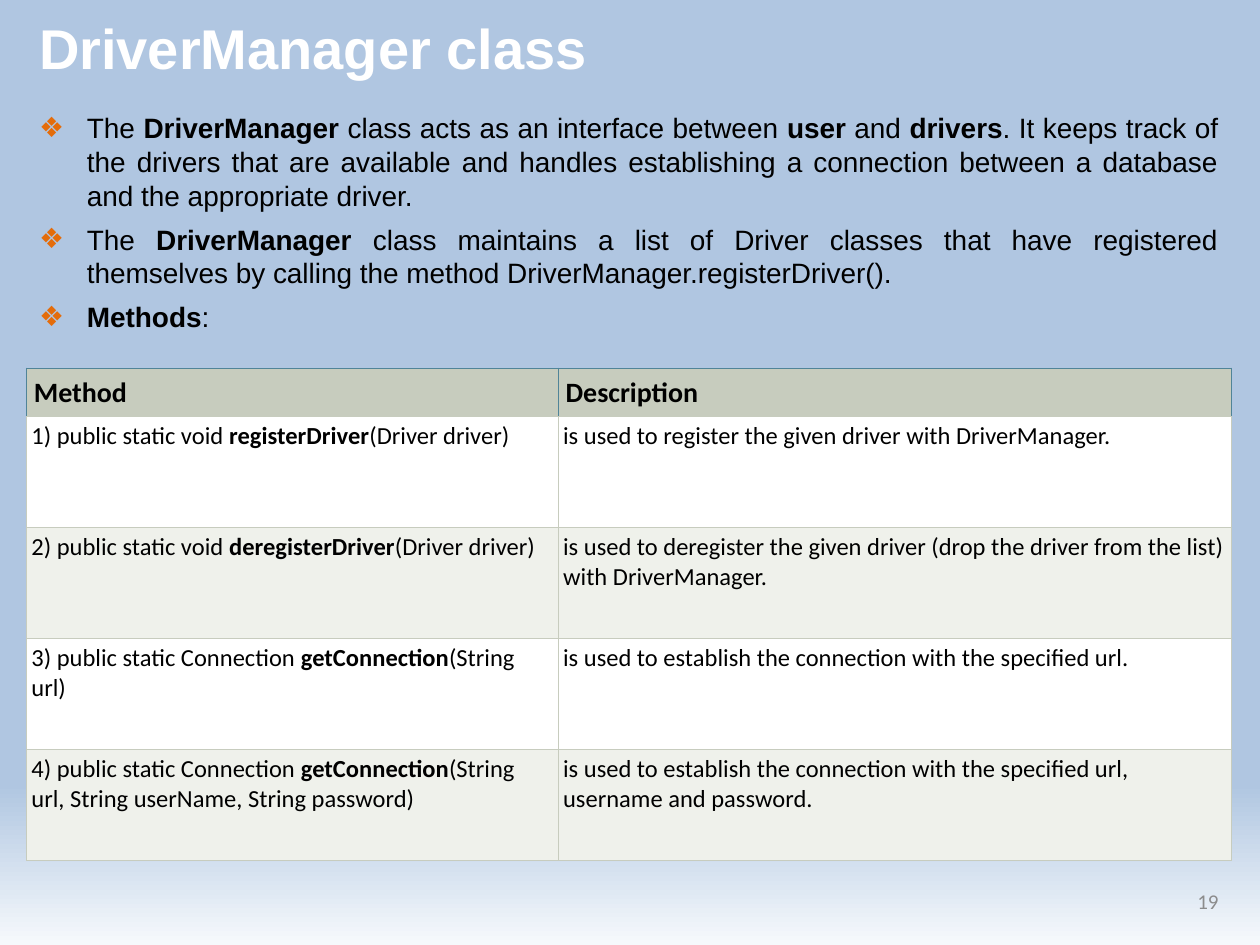
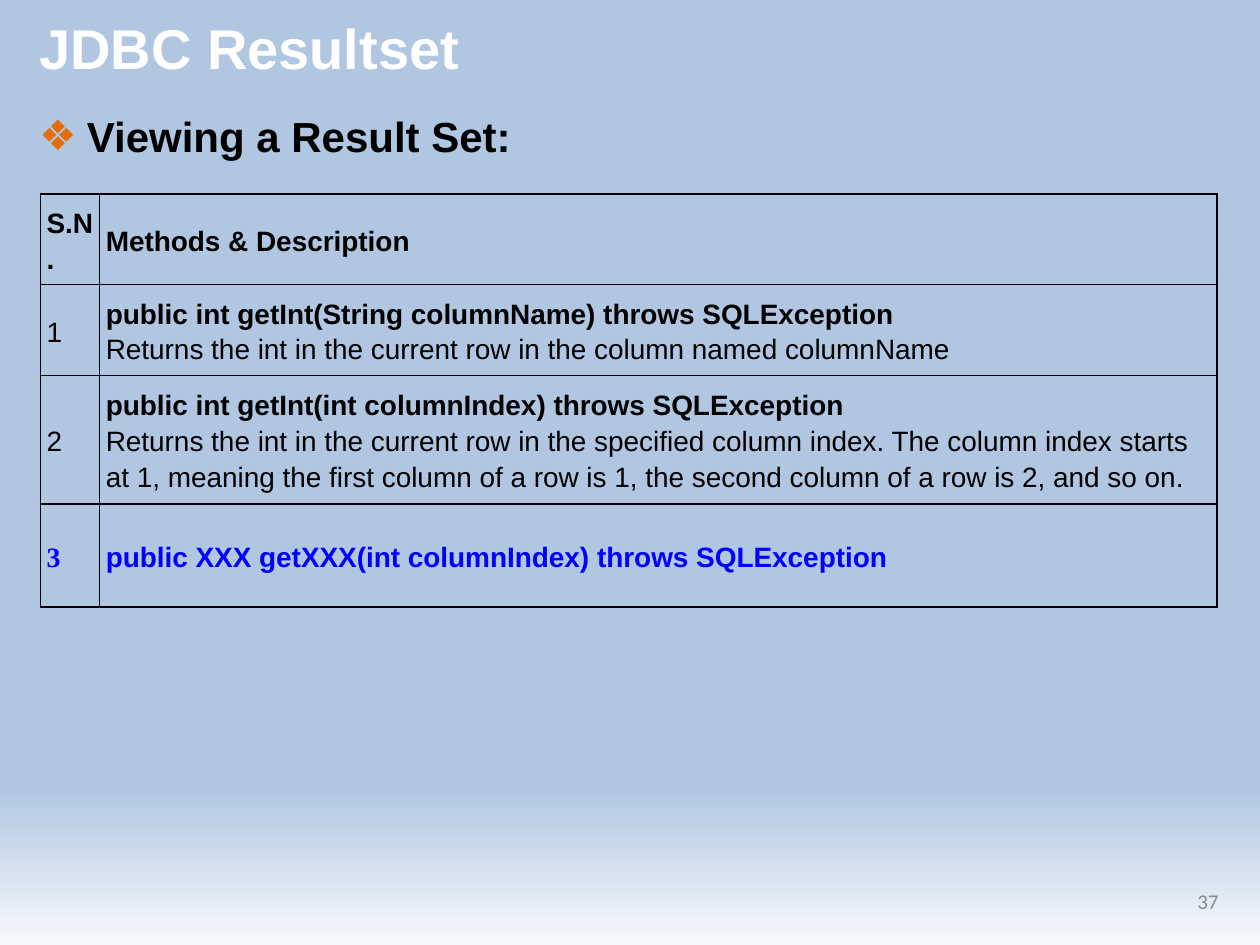
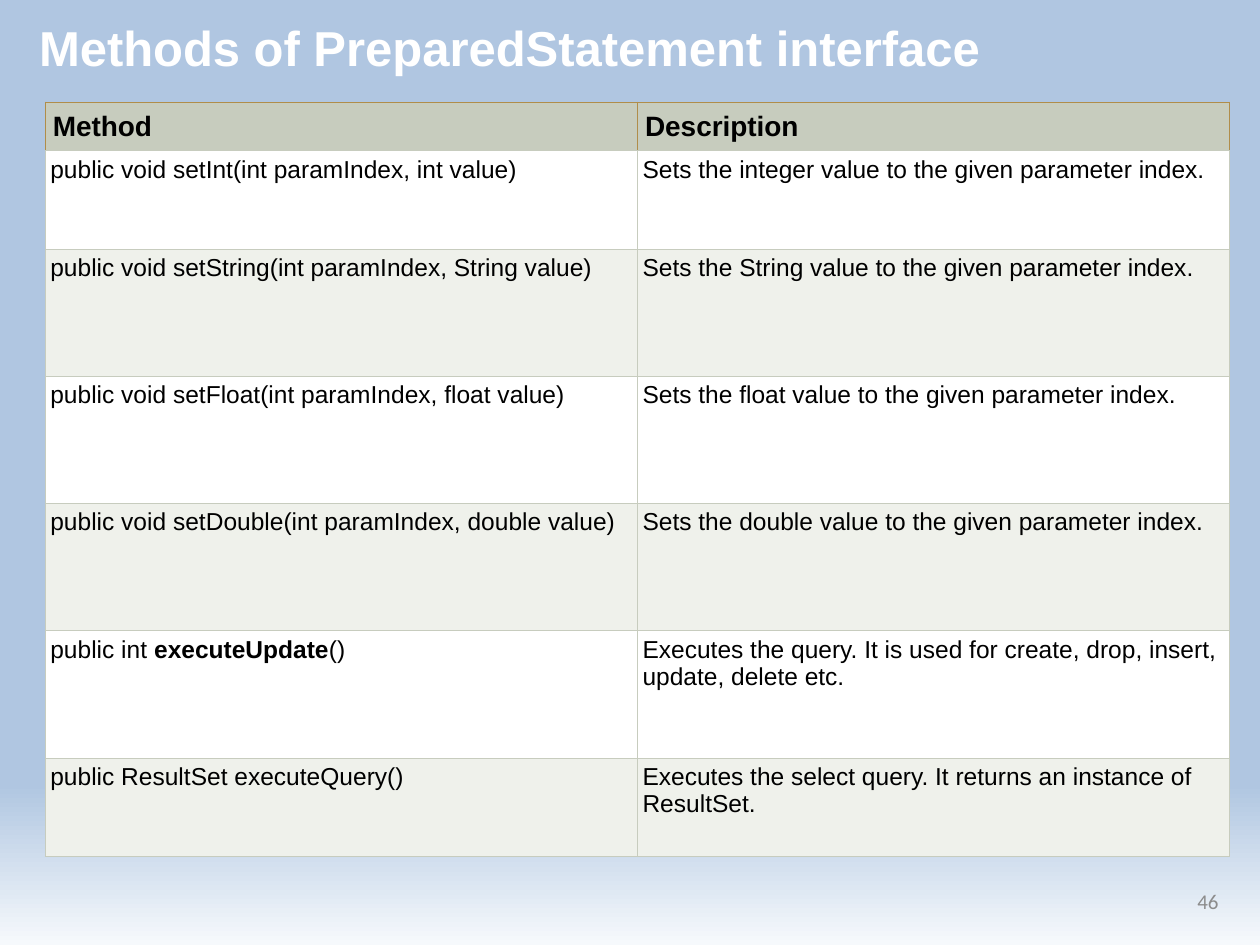
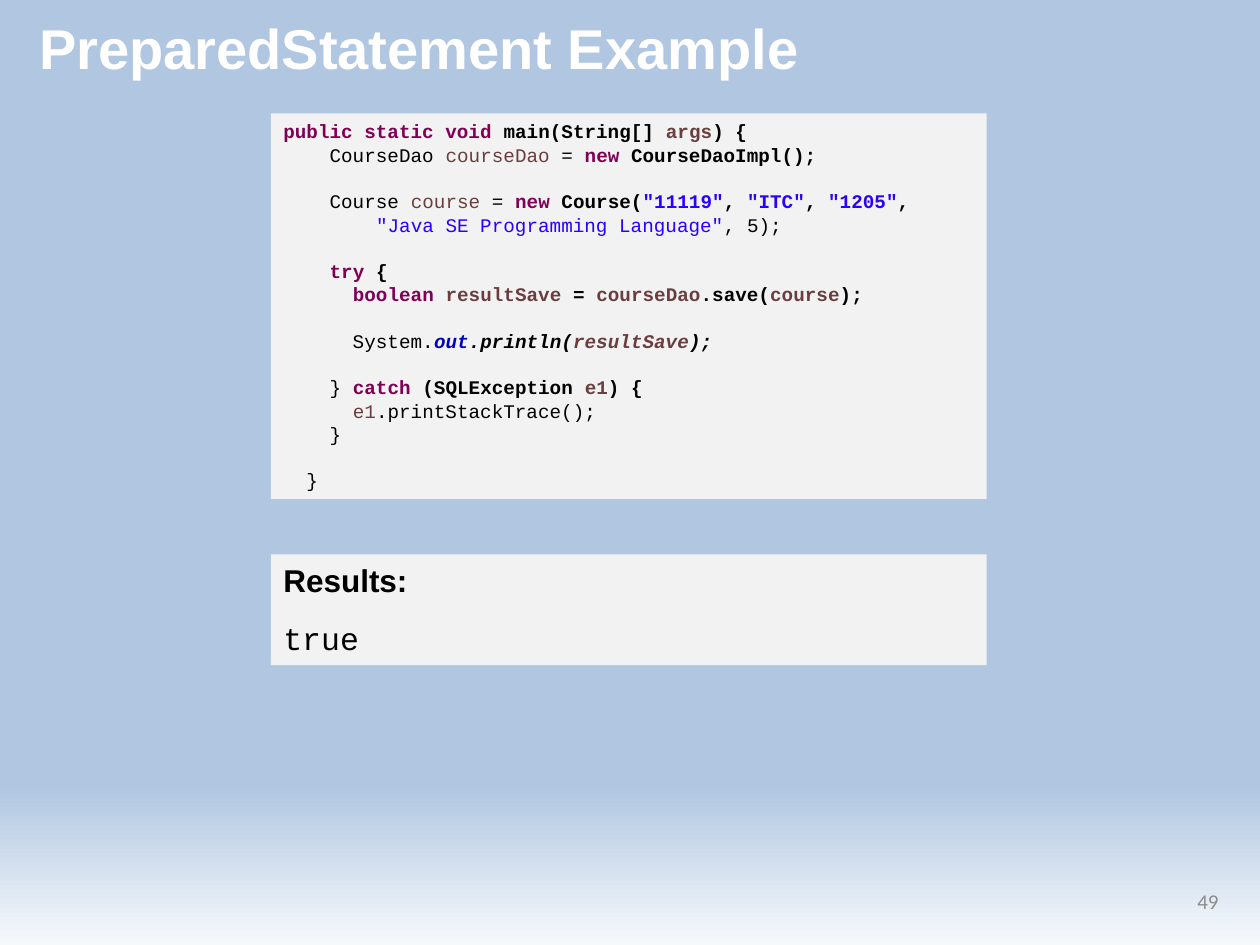
from copy import deepcopy

from lxml import etree
from pptx import Presentation
from pptx.dml.color import RGBColor
from pptx.enum.shapes import MSO_SHAPE
from pptx.enum.text import MSO_ANCHOR, MSO_AUTO_SIZE, PP_ALIGN
from pptx.oxml.ns import qn
from pptx.util import Inches, Pt

RECT = MSO_SHAPE.RECTANGLE
TOP, MIDDLE = MSO_ANCHOR.TOP, MSO_ANCHOR.MIDDLE
NO_FIT = MSO_AUTO_SIZE.NONE
LEFT, RIGHT, JUSTIFY = PP_ALIGN.LEFT, PP_ALIGN.RIGHT, PP_ALIGN.JUSTIFY

BLACK, WHITE, BLUE = "000000", "FFFFFF", "0000FF"
ORANGE, GREY, PANEL = "E46C0A", "8C8C8C", "F2F2F2"
SAGE, PALE_SAGE = "C7CCBE", "EFF1EB"
BACKGROUND = [(74, "B0C6E1"), (83, "B0C6E1"), (100, "F6F9FC"), (100, "CAD9EB")]
CODE_COLORS = {"plain": BLACK, "key": "7F0055", "var": "6A3E3E",
               "str": "2A00FF", "field": "0000C0"}
TITLE_AND_BODY, TITLE_ONLY = 1, 5

DRIVER_POINTS = [
    "The **DriverManager** class acts as an interface between **user** and "
    "**drivers**. It keeps track of the drivers that are available and handles "
    "establishing a connection between a database and the appropriate driver.",
    "The **DriverManager **class maintains a list of Driver classes that have "
    "registered themselves by calling the method DriverManager.registerDriver().",
    "**Methods**:",
]
DRIVER_METHODS = [
    ("**Method**", "**Description**"),
    ("1) public static void **registerDriver**(Driver driver)",
     "is used to register the given driver with DriverManager."),
    ("2) public static void **deregisterDriver**(Driver driver)",
     "is used to deregister the given driver (drop the driver from the list) "
     "with DriverManager."),
    ("3) public static Connection **getConnection**(String url)",
     "is used to establish the connection with the specified url."),
    ("4) public static Connection **getConnection**(String url, String userName, "
     "String password)",
     "is used to establish the connection with the specified url, username and "
     "password."),
]
RESULT_METHODS = [
    ("**S.N.**", "**Methods & Description**"),
    ("1", "**public int getInt(String columnName) throws SQLException**\n"
          "Returns the int in the current row in the column named columnName"),
    ("2", "**public int getInt(int columnIndex) throws SQLException**\n"
          "Returns the int in the current row in the specified column index. The "
          "column index starts at 1, meaning the first column of a row is 1, the "
          "second column of a row is 2, and so on."),
    ("**3**", "**public XXX getXXX(int columnIndex) throws SQLException**"),
]
STATEMENT_METHODS = [
    ("**Method**", "**Description**"),
    ("public void setInt(int paramIndex, int value)",
     "Sets the integer value to the given parameter index."),
    ("public void setString(int paramIndex, String value)",
     "Sets the String value to the given parameter index."),
    ("public void setFloat(int paramIndex, float value)",
     "Sets the float value to the given parameter index."),
    ("public void setDouble(int paramIndex, double value)",
     "Sets the double value to the given parameter index."),
    ("public int **executeUpdate**()",
     "Executes the query. It is used for create, drop, insert, update, delete etc."),
    ("public ResultSet executeQuery()",
     "Executes the select query. It returns an instance of ResultSet."),
]
CODE = [
    [("key", "public static void"), ("plain", " main(String[] "), ("var", "args"),
     ("plain", ") {")],
    [("plain", "    CourseDao "), ("var", "courseDao"), ("plain", " = "),
     ("key", "new"), ("plain", " CourseDaoImpl();")],
    [],
    [("plain", "    Course "), ("var", "course"), ("plain", " = "), ("key", "new"),
     ("plain", " Course("), ("str", '"11119"'), ("plain", ", "), ("str", '"ITC"'),
     ("plain", ", "), ("str", '"1205"'), ("plain", ",")],
    [("plain", "        "), ("str", '"Java SE Programming Language"'),
     ("plain", ", 5);")],
    [],
    [("plain", "    "), ("key", "try"), ("plain", " {")],
    [("plain", "      "), ("key", "boolean "), ("var", "resultSave"),
     ("plain", " = "), ("var", "courseDao"), ("plain", ".save("),
     ("var", "course"), ("plain", ");")],
    [],
    [("plain", "      System."), ("field", "out"), ("plain", ".println("),
     ("var", "resultSave"), ("plain", ");")],
    [],
    [("plain", "    } "), ("key", "catch"), ("plain", " (SQLException "),
     ("var", "e1"), ("plain", ") {")],
    [("plain", "      "), ("var", "e1"), ("plain", ".printStackTrace();")],
    [("plain", "    }")],
    [],
    [("plain", "  }")],
]


def rgb(value):
    return RGBColor.from_string(value)


def place(sp, left, top, width, height):
    sp.left, sp.top = Inches(left), Inches(top)
    sp.width, sp.height = Inches(width), Inches(height)


def add_run(p, text, size, font="Arial", color=BLACK, bold=False, italic=False):
    r = p.add_run()
    r.text = text
    r.font.size, r.font.name = Pt(size), font
    r.font.bold, r.font.italic = bold, italic
    r.font.color.rgb = rgb(color)
    return r


def add_rich_text(p, text, size, font="Arial", color=BLACK):
    for i, part in enumerate(text.split("**")):
        for j, line in enumerate(part.split("\n")):
            if j:
                p.add_line_break()
                p._p[-1].append(deepcopy(r._r.rPr))
            if line:
                r = add_run(p, line, size, font, color, bold=i % 2 == 1)


def next_paragraph(tf, index):
    return tf.paragraphs[0] if index == 0 else tf.add_paragraph()


def set_background(prs):
    fill = prs.slide_master.background.fill
    fill.gradient()
    fill.gradient_angle = 270
    stops = next(prs.slide_master.element.cSld.iter(qn("a:gsLst")))
    for stop in list(stops):
        stops.remove(stop)
    for pos, color in BACKGROUND:
        stop = etree.SubElement(stops, qn("a:gs"), pos=str(pos * 1000))
        etree.SubElement(stop, qn("a:srgbClr"), val=color)


def add_slide(prs, layout, title, number, size=32):
    slide = prs.slides.add_slide(prs.slide_layouts[layout])
    sp = slide.shapes.title
    place(sp, 0.21, 0.04, 9.56, 0.67)
    tf = sp.text_frame
    tf.auto_size, tf.vertical_anchor = NO_FIT, MIDDLE
    p = tf.paragraphs[0]
    p.alignment = LEFT
    add_run(p, title, size, color=WHITE, bold=True)

    box = slide.shapes.add_textbox(Inches(7.17), Inches(6.95), Inches(2.6), Inches(0.4))
    tf = box.text_frame
    tf.word_wrap, tf.vertical_anchor = True, MIDDLE
    p = tf.paragraphs[0]
    p.alignment = RIGHT
    add_run(p, str(number), 12, "Calibri", GREY)
    return slide


def add_bullet(p):
    pPr = p._p.get_or_add_pPr()
    pPr.set("marL", str(Inches(0.38)))
    pPr.set("indent", str(-Inches(0.38)))
    color = etree.SubElement(pPr, qn("a:buClr"))
    etree.SubElement(color, qn("a:srgbClr"), val=ORANGE)
    etree.SubElement(pPr, qn("a:buChar"), char="❖")


def fill_body(slide, points, size):
    sp = slide.placeholders[1]
    place(sp, 0.21, 0.83, 9.56, 5.99)
    tf = sp.text_frame
    tf.auto_size = NO_FIT
    for i, point in enumerate(points):
        p = next_paragraph(tf, i)
        add_bullet(p)
        p.alignment = JUSTIFY
        p.space_before = Pt(6 if i else 0)
        add_rich_text(p, point, size)


def set_borders(cell, color, width, bottom=None):
    tcPr = cell._tc.get_or_add_tcPr()
    for side in "LRTB":
        ln = etree.SubElement(tcPr, qn("a:ln" + side), w=str(Pt(width)))
        fill = etree.SubElement(ln, qn("a:solidFill"))
        shade = bottom if side == "B" and bottom else color
        etree.SubElement(fill, qn("a:srgbClr"), val=shade)


def set_cell(cell, text, size, font, color=BLACK, inset=0.04, anchor=TOP, spacing=1.0):
    cell.margin_left = cell.margin_right = Inches(inset)
    cell.margin_top = cell.margin_bottom = Inches(inset)
    cell.vertical_anchor = anchor
    p = cell.text_frame.paragraphs[0]
    p.line_spacing = spacing
    add_rich_text(p, text, size, font, color)


def add_grid(slide, left, top, widths, heights):
    frame = slide.shapes.add_table(len(heights), len(widths), Inches(left), Inches(top),
                                   Inches(sum(widths)), Inches(sum(heights)))
    table = frame.table
    table.first_row = table.horz_banding = False
    for column, width in zip(table.columns, widths):
        column.width = Inches(width)
    for row, height in zip(table.rows, heights):
        row.height = Inches(height)
    return table


def add_method_table(slide, rows, left, top, widths, heights, font, header_line,
                     header_anchor):
    table = add_grid(slide, left, top, widths, heights)
    for i, row in enumerate(rows):
        for j, text in enumerate(row):
            cell = table.cell(i, j)
            if i == 0:
                set_cell(cell, text, 16, font, inset=0.06, anchor=header_anchor)
                set_borders(cell, header_line, 0.5, bottom=SAGE)
                color = SAGE
            else:
                set_cell(cell, text, 14, font)
                set_borders(cell, SAGE, 0.5)
                color = WHITE if i % 2 else PALE_SAGE
            cell.fill.solid()
            cell.fill.fore_color.rgb = rgb(color)


def add_result_table(slide):
    table = add_grid(slide, 0.32, 1.54, [0.47, 8.87], [0.72, 0.72, 1.02, 0.82])
    last = len(RESULT_METHODS) - 1
    for i, row in enumerate(RESULT_METHODS):
        for j, text in enumerate(row):
            cell = table.cell(i, j)
            font = "Times New Roman" if (i, j) == (last, 0) else "Arial"
            set_cell(cell, text, 16, font, BLUE if i == last else BLACK,
                     inset=0.05, anchor=MIDDLE, spacing=1.15)
            set_borders(cell, BLACK, 1)
            cell.fill.background()


def add_panel(slide, top, height):
    sp = slide.shapes.add_shape(RECT, Inches(2.15), Inches(top), Inches(5.68),
                                Inches(height))
    sp.shadow.inherit = False
    sp.fill.solid()
    sp.fill.fore_color.rgb = rgb(PANEL)
    sp.line.fill.background()
    tf = sp.text_frame
    tf.word_wrap, tf.vertical_anchor = True, TOP
    return tf


def add_code(tf, lines, size=11):
    for i, line in enumerate(lines):
        p = next_paragraph(tf, i)
        p.alignment = LEFT
        p.line_spacing = Pt(13.3)
        bold = italic = False
        for kind, text in line:
            bold = bold or kind in ("key", "field")
            italic = italic or kind == "field"
            add_run(p, text, size, "Courier New", CODE_COLORS[kind], bold, italic)
        if not line:
            p._p.get_or_add_endParaRPr().set("sz", str(size * 100))


def add_results(tf):
    for i, (text, font) in enumerate([("Results:", "Arial"), ("true", "Courier New")]):
        p = next_paragraph(tf, i)
        p.alignment = LEFT
        p.space_before = Pt(12 if i else 0)
        add_run(p, text, 18, font, bold=i == 0)


def main():
    prs = Presentation()
    prs.slide_width, prs.slide_height = Inches(10), Inches(7.5)
    set_background(prs)

    slide = add_slide(prs, TITLE_AND_BODY, "DriverManager class", 19)
    fill_body(slide, DRIVER_POINTS, 16)
    add_method_table(slide, DRIVER_METHODS, 0.21, 2.92, [4.22, 5.34],
                     [0.33] + [0.88] * 4, "Calibri", "508498", TOP)

    slide = add_slide(prs, TITLE_AND_BODY, "JDBC Resultset", 37)
    fill_body(slide, ["**Viewing a Result Set:**"], 24)
    add_result_table(slide)

    slide = add_slide(prs, TITLE_ONLY, "Methods of PreparedStatement interface", 46, 28)
    add_method_table(slide, STATEMENT_METHODS, 0.36, 0.81, [4.7, 4.7],
                     [0.36, 0.78] + [1.01] * 4 + [0.78], "Arial", "B08D4A", MIDDLE)

    slide = add_slide(prs, TITLE_ONLY, "PreparedStatement Example", 49)
    add_code(add_panel(slide, 0.9, 3.06), CODE)
    add_results(add_panel(slide, 4.4, 0.88))

    prs.save("out.pptx")


if __name__ == "__main__":
    main()
